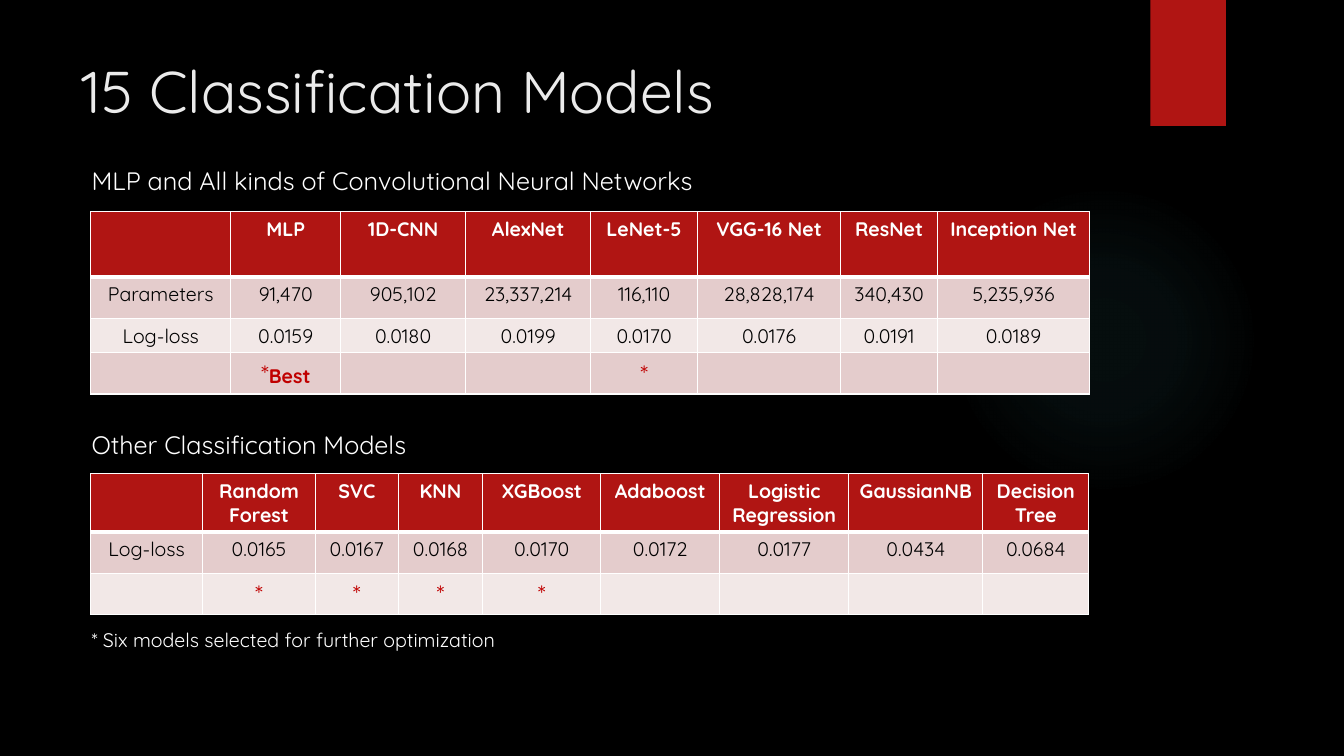
"""Build the slide that compares fifteen classification models."""
from dataclasses import dataclass

from pptx import Presentation
from pptx.dml.color import RGBColor
from pptx.enum.shapes import MSO_SHAPE
from pptx.enum.text import MSO_ANCHOR, PP_ALIGN
from pptx.oxml import parse_xml
from pptx.oxml.ns import nsdecls
from pptx.util import Emu, Pt

OVAL, RECTANGLE = MSO_SHAPE.OVAL, MSO_SHAPE.RECTANGLE
CENTER, MIDDLE, TOP = PP_ALIGN.CENTER, MSO_ANCHOR.MIDDLE, MSO_ANCHOR.TOP
EMU_PER_PX = 9144


@dataclass(frozen=True)
class Theme:
    """Colours, type sizes and rule widths of the slide."""
    font: str = "Quicksand"
    background: str = "000000"
    accent: str = "B01513"
    glow: str = "50B9C1"
    title: str = "EBEBEB"
    light: str = "FFFFFF"
    dark: str = "000000"
    mark: str = "C00000"
    bands: tuple = ("F2E8E7", "E4CCCC")
    title_size: int = 42
    heading_size: int = 18
    body_size: int = 14
    mark_size: int = 18
    rule: int = 1
    header_rule: int = 3


def px(length):
    return Emu(length * EMU_PER_PX)


def rgb(colour):
    return RGBColor.from_string(colour)


class SlideBuilder:
    """Draws styled elements on one slide."""

    def __init__(self, slide, theme):
        self.slide = slide
        self.theme = theme
        backdrop = slide.background.fill
        backdrop.solid()
        backdrop.fore_color.rgb = rgb(theme.background)

    def format_run(self, run, size, colour, bold=False):
        run.font.name = self.theme.font
        run.font.size = Pt(size)
        run.font.bold = bold
        run.font.color.rgb = rgb(colour)

    def shape(self, kind, left, top, width, height):
        element = self.slide.shapes.add_shape(kind, px(left), px(top), px(width), px(height))
        element.shadow.inherit = False
        element.line.fill.background()
        return element

    def block(self, left, top, width, height):
        ribbon = self.shape(RECTANGLE, left, top, width, height)
        ribbon.fill.solid()
        ribbon.fill.fore_color.rgb = rgb(self.theme.accent)

    def glow(self, left, top, diameter, stops):
        halo = self.shape(OVAL, left, top, diameter, diameter)
        stop_xml = "".join(
            f'<a:gs pos="{position * 1000}"><a:srgbClr val="{self.theme.glow}">'
            f'<a:alpha val="{alpha * 1000}"/></a:srgbClr></a:gs>'
            for position, alpha in stops)
        gradient = parse_xml(
            f'<a:gradFill {nsdecls("a")}><a:gsLst>{stop_xml}</a:gsLst><a:path path="circle">'
            '<a:fillToRect l="50000" t="50000" r="50000" b="50000"/></a:path></a:gradFill>')
        halo.element.spPr.insert(2, gradient)

    def text(self, left, top, width, height, words, size, colour, anchor=TOP):
        frame = self.slide.shapes.add_textbox(px(left), px(top), px(width), px(height)).text_frame
        frame.word_wrap = True
        frame.vertical_anchor = anchor
        frame.text = words
        self.format_run(frame.paragraphs[0].runs[0], size, colour)

    def borders(self, cell, row):
        theme = self.theme
        properties = cell._tc.get_or_add_tcPr()
        thick_sides = {0: "B", 1: "T"}
        for side in "LRTB":
            width = theme.header_rule if thick_sides.get(row) == side else theme.rule
            properties.append(parse_xml(
                f'<a:ln{side} {nsdecls("a")} w="{Pt(width)}"><a:solidFill>'
                f'<a:srgbClr val="{theme.light}"/></a:solidFill></a:ln{side}>'))

    def cell(self, cell, row, words):
        theme = self.theme
        self.borders(cell, row)
        cell.fill.solid()
        cell.fill.fore_color.rgb = rgb(theme.bands[row % 2] if row else theme.accent)
        if not words:
            return
        paragraph = cell.text_frame.paragraphs[0]
        paragraph.alignment = CENTER
        if words.startswith("*"):
            paragraph.text = "*"
            self.format_run(paragraph.runs[0], theme.mark_size, theme.mark)
            if words[1:]:
                label = paragraph.add_run()
                label.text = words[1:]
                self.format_run(label, theme.body_size, theme.mark, True)
        else:
            paragraph.text = words
            colour = theme.dark if row else theme.light
            self.format_run(paragraph.runs[0], theme.body_size, colour, row == 0)

    def table(self, left, top, widths, heights, rows):
        table = self.slide.shapes.add_table(
            len(heights), len(widths), px(left), px(top),
            px(sum(widths)), px(sum(heights))).table
        for column, width in zip(table.columns, widths):
            column.width = px(width)
        for index, (height, values) in enumerate(zip(heights, rows)):
            table.rows[index].height = px(height)
            for column, words in enumerate(values):
                self.cell(table.cell(index, column), index, words)


NETWORKS = [
    ["", "MLP", "1D-CNN", "AlexNet", "LeNet-5", "VGG-16 Net", "ResNet", "Inception Net"],
    ["Parameters", "91,470", "905,102", "23,337,214", "116,110", "28,828,174", "340,430",
     "5,235,936"],
    ["Log-loss", "0.0159", "0.0180", "0.0199", "0.0170", "0.0176", "0.0191", "0.0189"],
    ["", "*Best", "", "", "*", "", "", ""],
]
OTHER_MODELS = [
    ["", "Random Forest", "SVC", "KNN", "XGBoost", "Adaboost", "Logistic Regression",
     "GaussianNB", "Decision Tree"],
    ["Log-loss", "0.0165", "0.0167", "0.0168", "0.0170", "0.0172", "0.0177", "0.0434", "0.0684"],
    ["", "*", "*", "*", "*", "", "", "", ""],
]


def main():
    theme = Theme()
    deck = Presentation()
    deck.slide_width, deck.slide_height = px(1333), px(750)
    page = SlideBuilder(deck.slides.add_slide(deck.slide_layouts[6]), theme)

    page.glow(941, 183, 308, [(0, 7), (36, 6), (69, 0), (100, 0)])
    page.block(1141, 0, 75, 125)
    page.text(71, 50, 1029, 79, "15 Classification Models", theme.title_size, theme.title, MIDDLE)
    page.table(90, 470, [111, 112, 82, 84, 117, 118, 128, 133, 105], [58, 41, 41], OTHER_MODELS)
    page.table(90, 210, [139, 109, 124, 124, 106, 142, 96, 151], [65, 41, 34, 41], NETWORKS)
    for top, height, words, size in [
        (159, 40, "MLP and All kinds of Convolutional Neural Networks", theme.heading_size),
        (421, 40, "Other Classification Models", theme.heading_size),
        (618, 34, "* Six models selected for further optimization", theme.body_size),
    ]:
        page.text(81, top, 680, height, words, size, theme.light)
    deck.save("out.pptx")


if __name__ == "__main__":
    main()
